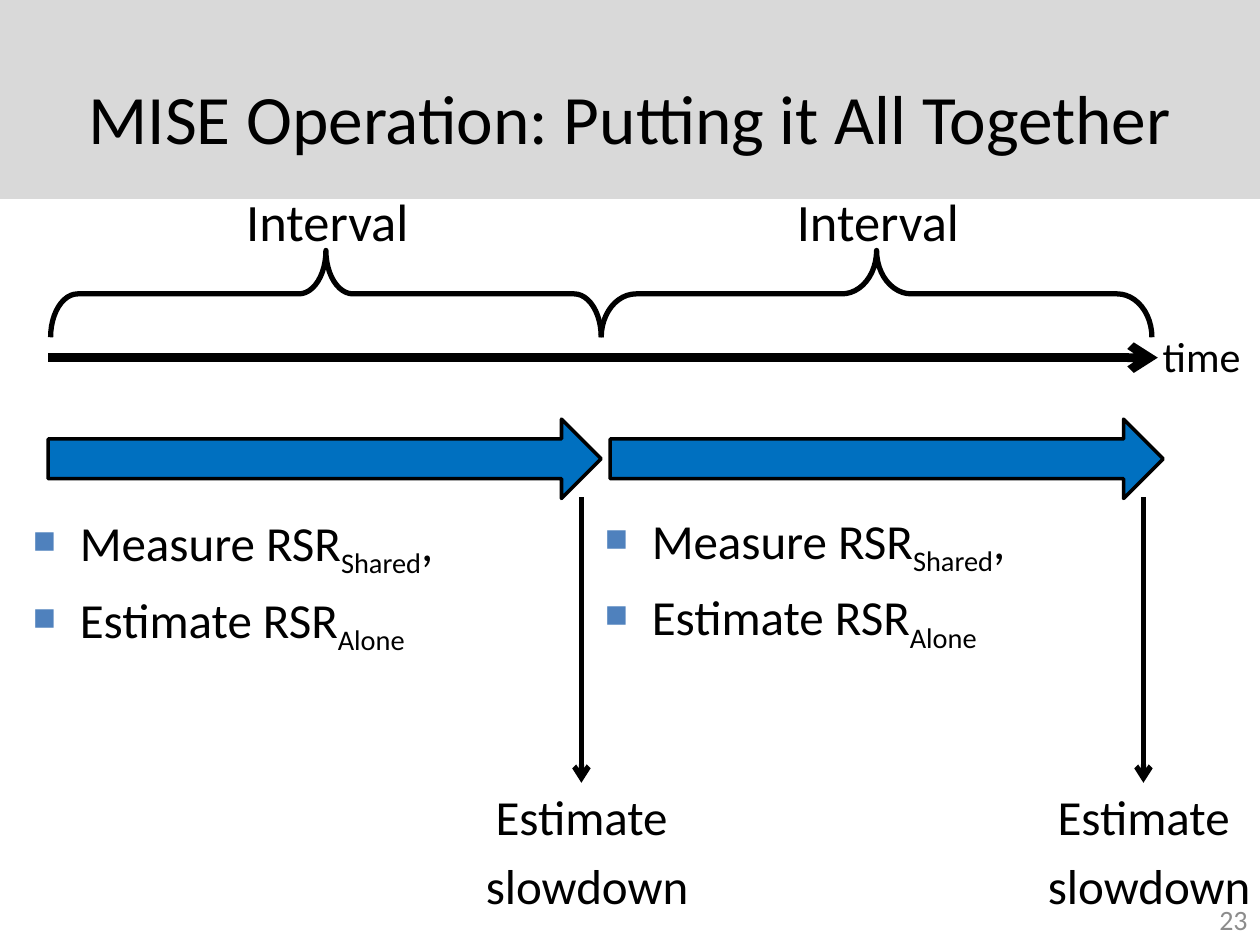
from lxml import etree
from pptx import Presentation
from pptx.dml.color import RGBColor
from pptx.enum.shapes import MSO_CONNECTOR, MSO_SHAPE
from pptx.enum.text import MSO_ANCHOR, PP_ALIGN
from pptx.oxml.ns import qn
from pptx.util import Cm, Pt

RECT, BRACE, ARROW = MSO_SHAPE.RECTANGLE, MSO_SHAPE.LEFT_BRACE, MSO_SHAPE.RIGHT_ARROW
STRAIGHT = MSO_CONNECTOR.STRAIGHT
LEFT, CENTER, RIGHT = PP_ALIGN.LEFT, PP_ALIGN.CENTER, PP_ALIGN.RIGHT
TOP, MIDDLE = MSO_ANCHOR.TOP, MSO_ANCHOR.MIDDLE
FONT = "Calibri"
COLORS = {
    "text": "000000",
    "band": "D9D9D9",
    "arrow": "0070C0",
    "bullet": "4F81BD",
    "number": "8C8C8C",
}


def rgb(name):
    """Return the named colour."""
    return RGBColor.from_string(COLORS[name])


def add_bullet(p):
    """Give a paragraph a hanging square bullet."""
    pPr = p._p.get_or_add_pPr()
    pPr.set("marL", str(Cm(0.95)))
    pPr.set("indent", str(-Cm(0.95)))
    clr = etree.SubElement(pPr, qn("a:buClr"))
    etree.SubElement(clr, qn("a:srgbClr"), val=COLORS["bullet"])
    etree.SubElement(pPr, qn("a:buSzPct"), val="65000")
    etree.SubElement(pPr, qn("a:buChar"), char="■")


def add_text(slide, box, lines, size=28, color="text", align=LEFT, anchor=TOP,
             wrap=True, bullet=False):
    """Add a text box; the odd parts of a line split at | are subscripts."""
    tf = slide.shapes.add_textbox(*map(Cm, box)).text_frame
    tf.word_wrap = wrap
    tf.vertical_anchor = anchor
    for i, line in enumerate(lines):
        p = tf.add_paragraph() if i else tf.paragraphs[0]
        if bullet:
            add_bullet(p)
        p.alignment = align
        if i:
            p.space_before = Pt(size * 0.2)
        for j, part in enumerate(line.split("|")):
            r = p.add_run()
            r.text = part
            r.font.name = FONT
            r.font.size = Pt(size)
            r.font.color.rgb = rgb(color)
            if j % 2:
                r._r.get_or_add_rPr().set("baseline", "-25000")


def add_shape(slide, kind, box, fill=None, line=None):
    """Add a preset shape with an optional fill and black outline."""
    s = slide.shapes.add_shape(kind, *map(Cm, box))
    s.shadow.inherit = False
    if fill:
        s.fill.solid()
        s.fill.fore_color.rgb = rgb(fill)
    else:
        s.fill.background()
    if line:
        s.line.color.rgb = rgb("text")
        s.line.width = Pt(line)
    else:
        s.line.fill.background()
    return s


def add_arrow_line(slide, x1, y1, x2, y2, width):
    """Add a straight black line with an open arrowhead at its end."""
    s = slide.shapes.add_connector(STRAIGHT, Cm(x1), Cm(y1), Cm(x2), Cm(y2))
    s.line.color.rgb = rgb("text")
    s.line.width = Pt(width)
    etree.SubElement(s.line._get_or_add_ln(), qn("a:tailEnd"), type="arrow")
    etree.SubElement(s._element.spPr, qn("a:effectLst"))


def header(slide, x, y, w, h):
    """Place the title on its grey band."""
    add_shape(slide, RECT, (x, y, w, h), fill="band")
    add_text(slide, (x + 1.27, y + 0.76, w - 2.54, 3.18),
             ["MISE Operation: Putting it All Together"],
             size=39.6, align=CENTER, anchor=MIDDLE)


def time_axis(slide, x, y, w):
    """Place the time axis and its label."""
    add_arrow_line(slide, x, y, x + w, y, 5)
    add_text(slide, (x + w - 0.15, y - 0.68, 2.5, 1.27), ["time"],
             size=24, wrap=False)


def interval(slide, x, y, w, curve):
    """Place an interval label above a brace that spans the box."""
    depth = 1.75
    add_text(slide, (x + 0.28, y, w - 0.5, 1.55), ["Interval"],
             size=30, align=CENTER)
    s = add_shape(slide, BRACE,
                  (x + (w - depth) / 2, y + 1.37 - (w - depth) / 2, depth, w),
                  line=3)
    s.rotation = 90
    s.adjustments[0] = curve


def phase(slide, x, y, w, h):
    """Place a block arrow whose end leads down to the slowdown estimate."""
    add_shape(slide, ARROW, (x, y, w, h), fill="arrow", line=2)
    drop = x + w - 0.4
    add_arrow_line(slide, drop, y + h - 0.03, drop, y + 7.33, 3)
    add_text(slide, (drop - 2.78, y + 7.29, 5.79, 1.83),
             ["Estimate ", "slowdown"], align=CENTER)


def measures(slide, x, y, w, h):
    """Place the list of quantities gathered in an interval."""
    add_text(slide, (x, y, w, h),
             ["Measure RSR|Shared|,", "Estimate RSR|Alone"], bullet=True)


def main():
    """Build the slide and save it."""
    prs = Presentation()
    prs.slide_width, prs.slide_height = Cm(25.4), Cm(19.05)
    slide = prs.slides.add_slide(prs.slide_layouts[6])
    header(slide, 0, 0, 25.4, 4.01)
    time_axis(slide, 0.97, 7.21, 22.37)
    for i, curve in enumerate((0.312, 0.401)):
        interval(slide, 1.02 + 11.1 * i, 3.68, 11.1, curve)
        phase(slide, 0.97 + 11.33 * i, 8.45, 11.15, 1.6)
        measures(slide, 0.41 + 11.53 * i, 10.21 - 0.05 * i, 10.87, 3.63)
    add_text(slide, (19.48, 18.03, 5.92, 1.02), ["23"],
             size=16, color="number", align=RIGHT, anchor=MIDDLE)
    prs.save("out.pptx")


if __name__ == "__main__":
    main()
